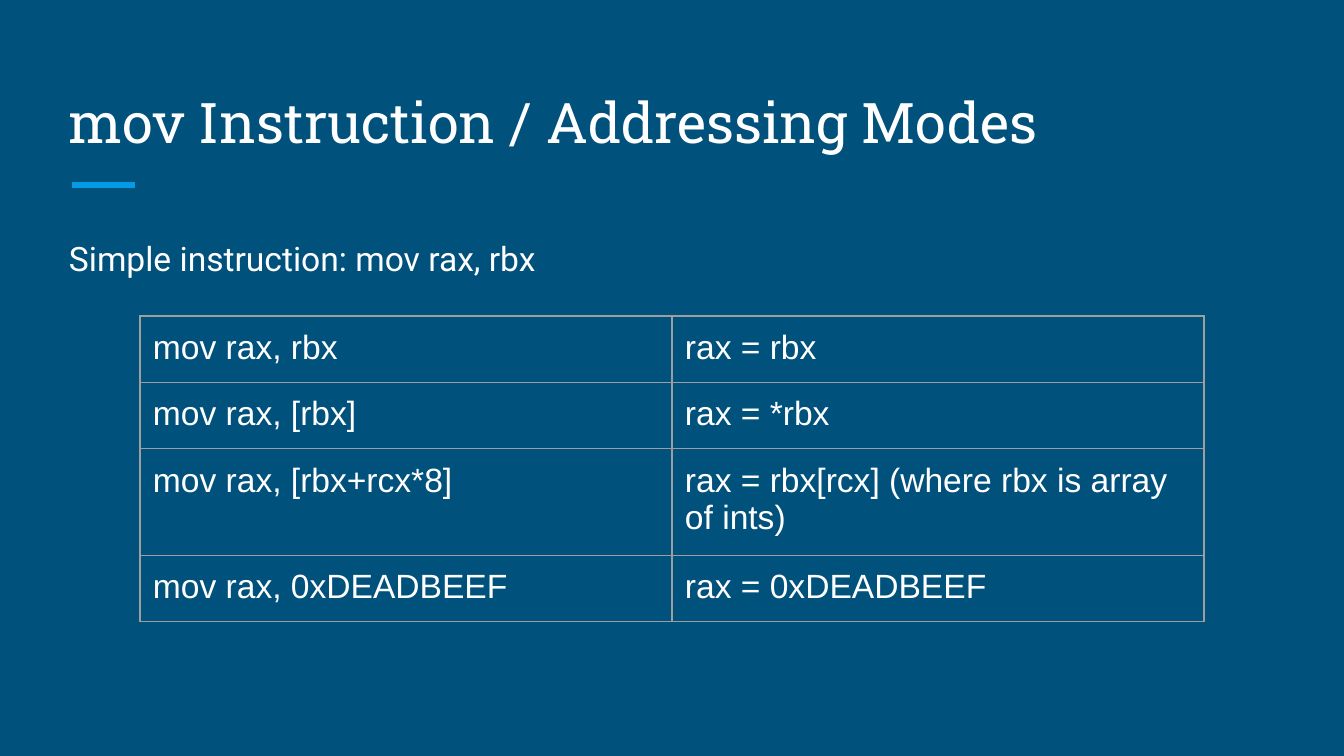
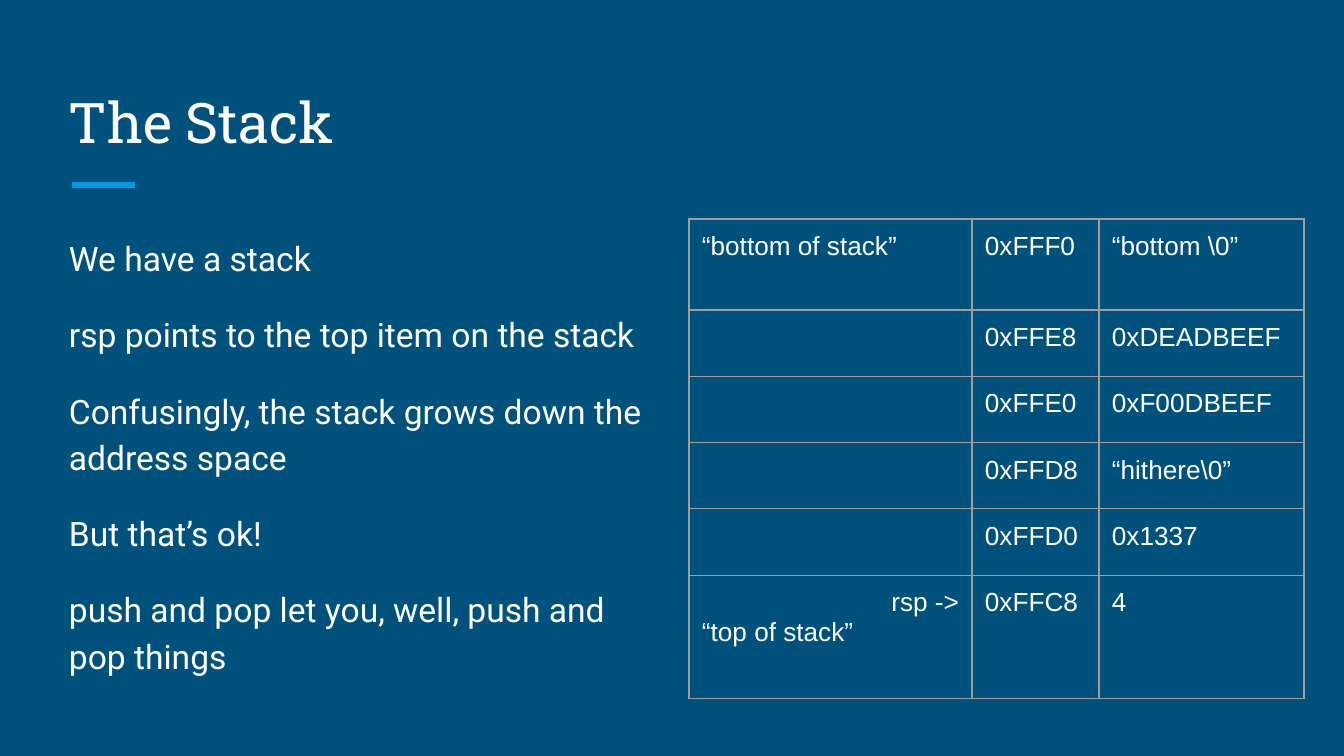
from dataclasses import dataclass

from lxml import etree
from pptx import Presentation
from pptx.dml.color import RGBColor
from pptx.enum.shapes import MSO_CONNECTOR
from pptx.enum.text import MSO_ANCHOR, PP_ALIGN
from pptx.oxml.ns import qn
from pptx.util import Emu, Pt

STRAIGHT = MSO_CONNECTOR.STRAIGHT
TOP, BOTTOM = MSO_ANCHOR.TOP, MSO_ANCHOR.BOTTOM
RIGHT = PP_ALIGN.RIGHT
SLIDE_W, SLIDE_H = 1344, 756
LEFT, FULL_W, BODY_TOP, BODY_H = 56, 1230, 219, 453


@dataclass(frozen=True)
class Theme:
    background: str = "00517C"
    accent: str = "039BE5"
    text: str = "FFFFFF"
    border: str = "9E9E9E"
    title_font: str = "Roboto Slab"
    body_font: str = "Roboto"
    table_font: str = "Arial"
    title_size: int = 30
    body_size: int = 18
    small_size: int = 14
    accent_width: int = 3
    border_width: float = 0.75
    paragraph_gap: int = 16
    line_spacing: float = 1.15


THEME = Theme()


def px(n):
    return Emu(round(n * 9144000 / SLIDE_W))


def rgb(color):
    return RGBColor.from_string(color)


def format_runs(p, font, size):
    for r in p.runs:
        r.font.name = font
        r.font.size = Pt(size)
        r.font.color.rgb = rgb(THEME.text)


def add_text(s, text, box, font, size, anchor=TOP):
    sp = s.shapes.add_textbox(*map(px, box))
    tf = sp.text_frame
    tf.word_wrap = True
    tf.vertical_anchor = anchor
    tf.margin_left = tf.margin_right = tf.margin_top = tf.margin_bottom = px(13)
    tf.text = text
    for p in tf.paragraphs:
        format_runs(p, font, size)
    return tf


def add_body(s, lines, width):
    tf = add_text(s, "\n".join(lines), (LEFT, BODY_TOP, width, BODY_H),
                  THEME.body_font, THEME.body_size)
    for i, p in enumerate(tf.paragraphs):
        p.line_spacing = THEME.line_spacing
        p.space_before = Pt(THEME.paragraph_gap if i else 0)


def add_accent(s):
    line = s.shapes.add_connector(STRAIGHT, px(72), px(185), px(135), px(185))
    line.line.color.rgb = rgb(THEME.accent)
    line.line.width = Pt(THEME.accent_width)
    etree.SubElement(line._element.spPr, qn("a:effectLst"))


def add_titled_slide(prs, title):
    s = prs.slides.add_slide(prs.slide_layouts[6])
    s.background.fill.solid()
    s.background.fill.fore_color.rgb = rgb(THEME.background)
    add_accent(s)
    add_text(s, title, (LEFT, 67, FULL_W, 101),
             THEME.title_font, THEME.title_size, BOTTOM)
    return s


def set_borders(cell):
    tcPr = cell._tc.get_or_add_tcPr()
    for side in ("lnL", "lnR", "lnT", "lnB"):
        ln = etree.SubElement(tcPr, qn(f"a:{side}"), w=str(Pt(THEME.border_width)))
        fill = etree.SubElement(ln, qn("a:solidFill"))
        etree.SubElement(fill, qn("a:srgbClr"), val=THEME.border)


def add_table(s, rows, left, top, widths, heights, size):
    frame = s.shapes.add_table(len(rows), len(widths), px(left), px(top),
                               px(sum(widths)), px(sum(heights)))
    table = frame.table
    table.first_row = table.horz_banding = False
    for column, width in zip(table.columns, widths):
        column.width = px(width)
    for row, height, texts in zip(table.rows, heights, rows):
        row.height = px(height)
        for cell, text in zip(row.cells, texts):
            cell.margin_left = cell.margin_right = px(13)
            cell.margin_top = cell.margin_bottom = px(13)
            set_borders(cell)
            cell.fill.background()
            if text:
                cell.text_frame.text = text
            for p in cell.text_frame.paragraphs:
                format_runs(p, THEME.table_font, size)
    return table


def add_mov_slide(prs):
    s = add_titled_slide(prs, "mov Instruction / Addressing Modes")
    add_body(s, ["Simple instruction: mov rax, rbx"], FULL_W)
    modes = [
        ("mov rax, rbx", "rax = rbx"),
        ("mov rax, [rbx]", "rax = *rbx"),
        ("mov rax, [rbx+rcx*8]", "rax = rbx[rcx] (where rbx is array of ints)"),
        ("mov rax, 0xDEADBEEF", "rax = 0xDEADBEEF"),
    ]
    add_table(s, modes, 140, 316, [532] * 2, [64, 64, 102, 64], THEME.body_size)


def add_stack_slide(prs):
    s = add_titled_slide(prs, "The Stack")
    add_body(s, [
        "We have a stack",
        "rsp points to the top item on the stack",
        "Confusingly, the stack grows down the address space",
        "But that’s ok!",
        "push and pop let you, well, push and pop things",
    ], 616)
    stack = [
        ("“bottom of stack”", "0xFFF0", "“bottom \\0”"),
        ("", "0xFFE8", "0xDEADBEEF"),
        ("", "0xFFE0", "0xF00DBEEF"),
        ("", "0xFFD8", "“hithere\\0”"),
        ("", "0xFFD0", "0x1337"),
        ("rsp ->\n“top of stack”", "0xFFC8", "4"),
    ]
    table = add_table(s, stack, 689, BODY_TOP, [283, 127, 205],
                      [91] + [64] * 4 + [123], THEME.small_size)
    pointer = table.cell(len(stack) - 1, 0).text_frame.paragraphs[0]
    pointer.alignment = RIGHT


def main():
    prs = Presentation()
    prs.slide_width, prs.slide_height = px(SLIDE_W), px(SLIDE_H)
    add_mov_slide(prs)
    add_stack_slide(prs)
    prs.save("out.pptx")


if __name__ == "__main__":
    main()
